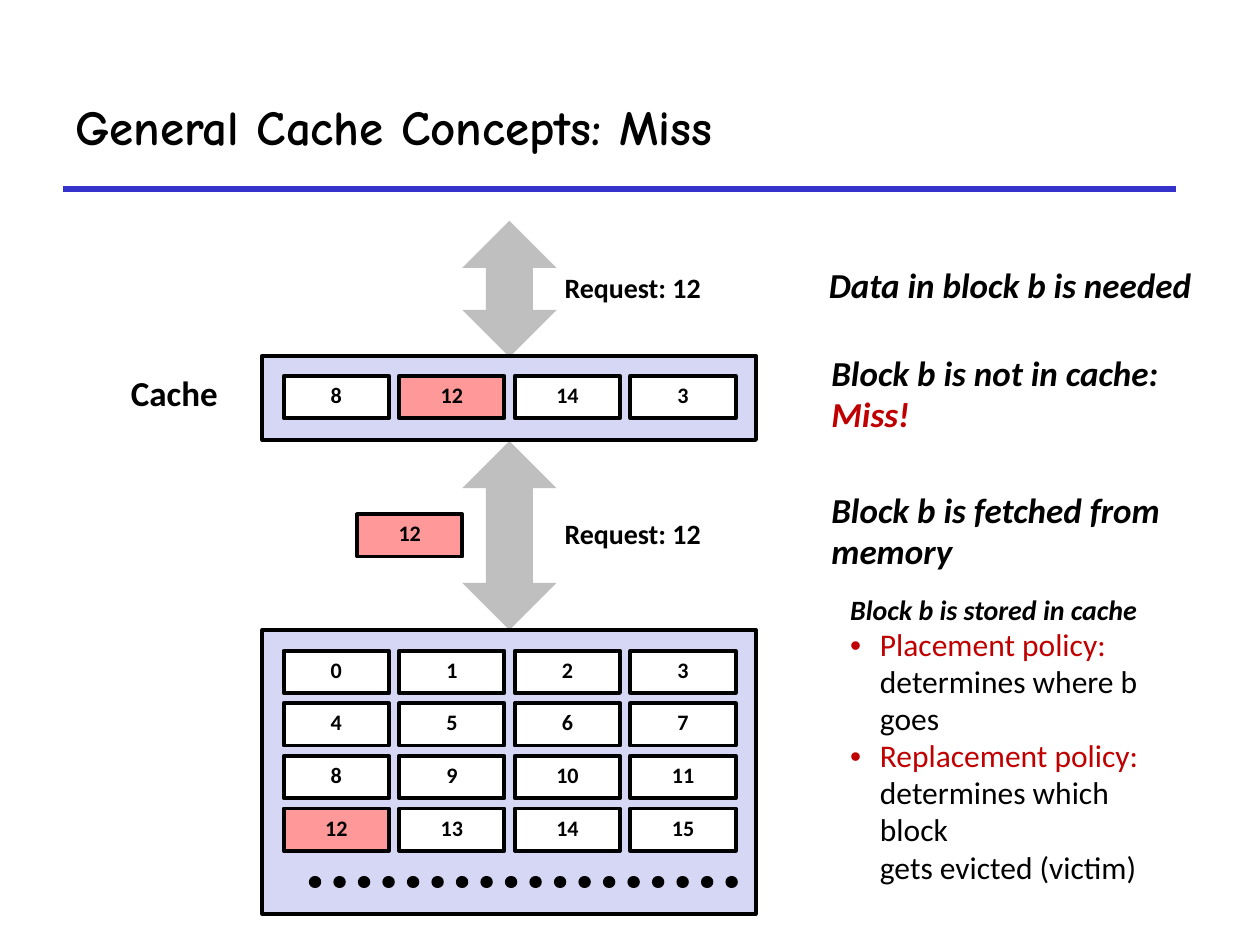
from dataclasses import dataclass

from lxml import etree
from pptx import Presentation
from pptx.dml.color import RGBColor
from pptx.enum.dml import MSO_LINE
from pptx.enum.shapes import MSO_CONNECTOR, MSO_SHAPE
from pptx.enum.text import MSO_ANCHOR, PP_ALIGN
from pptx.oxml.ns import qn
from pptx.util import Cm, Pt

RECTANGLE = MSO_SHAPE.RECTANGLE
DOUBLE_ARROW = MSO_SHAPE.UP_DOWN_ARROW
STRAIGHT = MSO_CONNECTOR.STRAIGHT
DOTTED = MSO_LINE.ROUND_DOT
TOP, MIDDLE = MSO_ANCHOR.TOP, MSO_ANCHOR.MIDDLE
LEFT, CENTER = PP_ALIGN.LEFT, PP_ALIGN.CENTER


@dataclass(frozen=True)
class Theme:
    black: RGBColor = RGBColor.from_string("000000")
    white: RGBColor = RGBColor.from_string("FFFFFF")
    rule: RGBColor = RGBColor.from_string("3333CC")
    arrow: RGBColor = RGBColor.from_string("BFBFBF")
    memory: RGBColor = RGBColor.from_string("D6D6F5")
    requested: RGBColor = RGBColor.from_string("FF9999")
    accent: RGBColor = RGBColor.from_string("C00000")
    title_font: str = "Comic Neue"
    body_font: str = "Calibri"
    title_size: float = 28
    heading_size: float = 20
    policy_size: float = 18
    label_size: float = 16
    block_size: float = 12.6


theme = Theme()


def add_box(preset, left, top, width, height, fill, outlined=True):
    shape = slide.shapes.add_shape(preset, Cm(left), Cm(top), Cm(width), Cm(height))
    shape.shadow.inherit = False
    shape.fill.solid()
    shape.fill.fore_color.rgb = fill
    if outlined:
        shape.line.color.rgb = theme.black
        shape.line.width = Pt(2.25)
    else:
        shape.line.fill.background()
    return shape


def write(shape, text, size, anchor=MIDDLE, alignment=LEFT, spacing=1.0,
          italic=False, wrap=False, font=theme.body_font):
    text_frame = shape.text_frame
    text_frame.text = text
    text_frame.word_wrap = wrap
    text_frame.vertical_anchor = anchor
    for paragraph in text_frame.paragraphs:
        paragraph.alignment = alignment
        paragraph.line_spacing = spacing
        for run in paragraph.runs:
            run.font.name = font
            run.font.size = Pt(size)
            run.font.bold = True
            run.font.italic = italic
            run.font.color.rgb = theme.black
    return text_frame.paragraphs


presentation = Presentation()
presentation.slide_width = Cm(25.4)
presentation.slide_height = Cm(19.05)
slide = presentation.slides.add_slide(presentation.slide_layouts[6])

title = slide.shapes.add_textbox(Cm(1.27), Cm(1.27), Cm(22.43), Cm(2.54))
write(title, "General Cache Concepts: Miss", theme.title_size, wrap=True,
      font=theme.title_font)

for top, height in ((4.45, 2.75), (8.89, 3.81)):
    add_box(DOUBLE_ARROW, 9.32, top, 1.9, height, theme.arrow, outlined=False)

for top, height in ((7.17, 1.7), (12.7, 5.72)):
    add_box(RECTANGLE, 5.29, top, 9.95, height, theme.memory)

first_left, column_step = 5.72, 2.33
first_top, row_step = 13.12, 1.06
blocks = [(column, 7.58, number) for column, number in enumerate((8, 12, 14, 3))]
blocks += [(number % 4, first_top + number // 4 * row_step, number)
           for number in range(16)]
positions = [(first_left + column * column_step, top, number)
             for column, top, number in blocks]
positions.append((7.2, 10.37, 12))
for left, top, number in positions:
    fill = theme.requested if number == 12 else theme.white
    block = add_box(RECTANGLE, left, top, 2.12, 0.85, fill)
    write(block, str(number), theme.block_size, alignment=CENTER, spacing=0.8)

lines = (
    (1.27, 23.7, 3.81, theme.rule, 3, False),
    (6.35, 14.82, 17.78, theme.black, 7, True),
)
for start, end, height, color, width, dotted in lines:
    line = slide.shapes.add_connector(STRAIGHT, Cm(start), Cm(height), Cm(end), Cm(height))
    line.line.color.rgb = color
    line.line.width = Pt(width)
    if dotted:
        line.line.dash_style = DOTTED
        line.line._ln.set("cap", "rnd")
    etree.SubElement(line._element.spPr, qn("a:effectLst"))

labels = (
    ("Cache", 2.39, 7.37, 2.26, 1.12, theme.heading_size, LEFT),
    ("Request: 12", 11.13, 5.33, 3.25, 0.94, theme.label_size, CENTER),
    ("Request: 12", 11.13, 10.29, 3.25, 0.94, theme.label_size, CENTER),
)
for text, left, top, width, height, size, alignment in labels:
    label = slide.shapes.add_textbox(Cm(left), Cm(top), Cm(width), Cm(height))
    write(label, text, size, anchor=TOP, alignment=alignment)

steps = (
    ("Data in block b is needed", 16.46, 5.23, 7.82, 1.09),
    ("Block b is not in cache:\nMiss!", 16.51, 6.99, 7.11, 1.93),
    ("Block b is fetched from\nmemory", 16.51, 9.75, 7.16, 1.93),
)
for text, left, top, width, height in steps:
    step = slide.shapes.add_textbox(Cm(left), Cm(top), Cm(width), Cm(height))
    paragraphs = write(step, text, theme.heading_size, spacing=0.98, italic=True)
    if "Miss!" in text:
        paragraphs[1].runs[0].font.color.rgb = theme.accent

policies = slide.shapes.add_textbox(Cm(16.89), Cm(12.6), Cm(7.06), Cm(4.65))
paragraphs = write(
    policies,
    "Block b is stored in cache\n"
    "Placement policy:\vdetermines where b goes\n"
    "Replacement policy:\vdetermines which block\vgets evicted (victim)",
    theme.label_size, spacing=0.98, italic=True, wrap=True)
for paragraph in paragraphs[1:]:
    properties = paragraph._p.get_or_add_pPr()
    properties.set("marL", str(Cm(0.6)))
    properties.set("indent", str(-Cm(0.6)))
    bullet_color = etree.SubElement(properties, qn("a:buClr"))
    etree.SubElement(bullet_color, qn("a:srgbClr"), val=str(theme.accent))
    etree.SubElement(properties, qn("a:buFont"), typeface="Arial")
    etree.SubElement(properties, qn("a:buChar"), char="•")
    for run in paragraph.runs:
        run.font.size = Pt(theme.policy_size)
        run.font.bold = False
        run.font.italic = False
    paragraph.runs[0].font.color.rgb = theme.accent

presentation.save("out.pptx")
